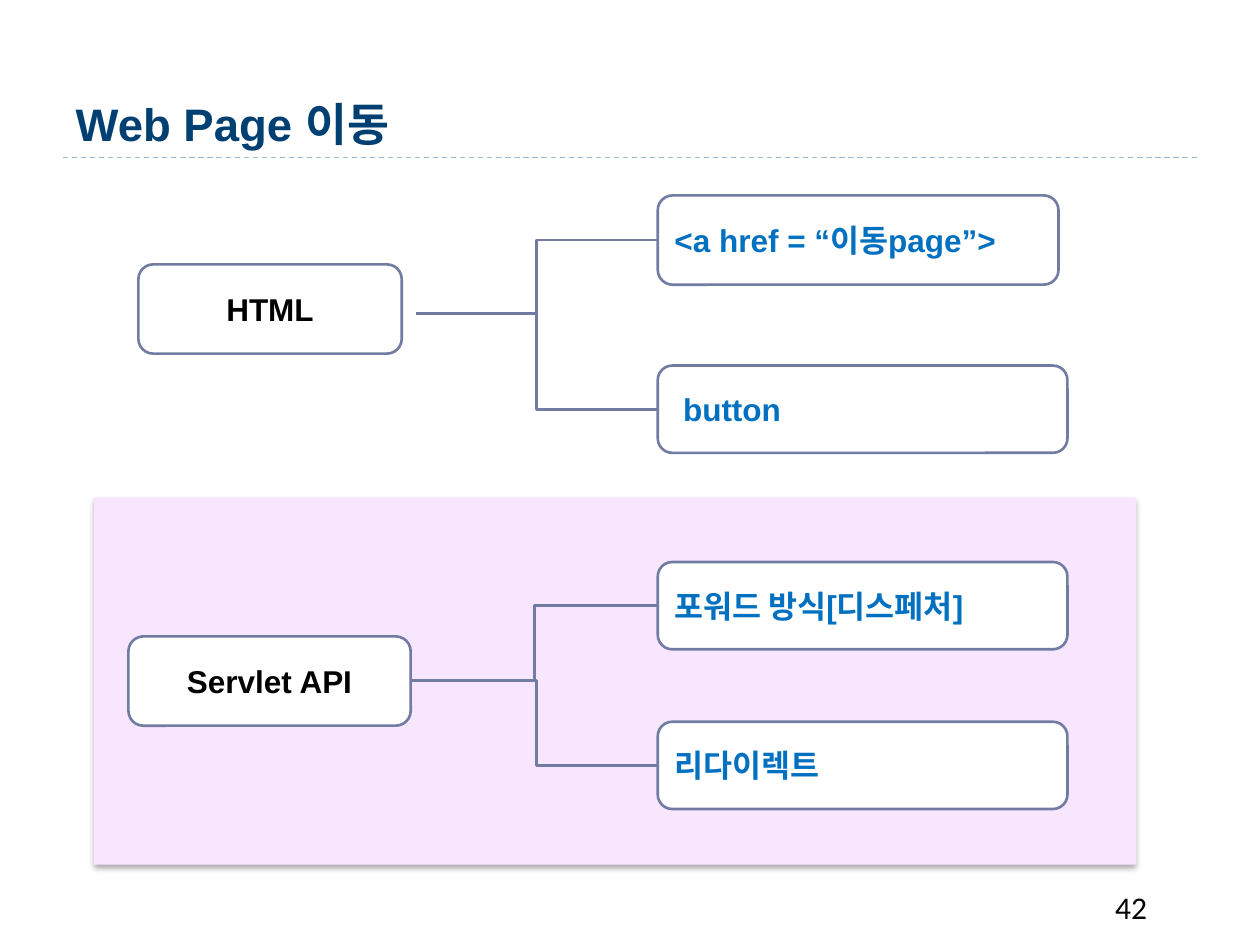
import pptx
import pptx.dml.color
import pptx.enum.dml
import pptx.enum.shapes
import pptx.enum.text
import pptx.oxml
import pptx.oxml.ns
import pptx.util

Cm, Pt = pptx.util.Cm, pptx.util.Pt
RGBColor = pptx.dml.color.RGBColor
SHAPE = pptx.enum.shapes.MSO_SHAPE
CONNECTOR = pptx.enum.shapes.MSO_CONNECTOR
ALIGN = pptx.enum.text.PP_ALIGN
ANCHOR = pptx.enum.text.MSO_ANCHOR

NAVY = RGBColor(0x00, 0x3F, 0x71)
BLUE = RGBColor(0x00, 0x70, 0xC0)
SLATE = RGBColor(0x72, 0x7C, 0xA3)
RULE = RGBColor(0x9F, 0xB8, 0xCD)
LILAC = RGBColor(0xF8, 0xE6, 0xFE)
WHITE = RGBColor(0xFF, 0xFF, 0xFF)
BLACK = RGBColor(0x00, 0x00, 0x00)

PANEL_SHADOW = (
    f'<a:effectLst {pptx.oxml.ns.nsdecls("a")}>'
    '<a:outerShdw blurRad="44450" dist="27940" dir="5400000" rotWithShape="0">'
    '<a:srgbClr val="000000"><a:alpha val="32000"/></a:srgbClr>'
    '</a:outerShdw></a:effectLst>'
)


def write(tf, text, size=18, color=BLACK, font="Arial", bold=True,
          align=ALIGN.LEFT, anchor=ANCHOR.MIDDLE):
    tf.word_wrap = True
    tf.vertical_anchor = anchor
    p = tf.paragraphs[0]
    p.alignment = align
    r = p.add_run()
    r.text = text
    r.font.size = Pt(size)
    r.font.name = font
    r.font.bold = bold
    r.font.color.rgb = color


class Diagram:
    """Holds the current slide and draws its elements; lengths are in cm."""

    def __init__(self, slide, line_color=SLATE, line_width=1.5):
        self.slide = slide
        self.line_color = line_color
        self.line_width = line_width

    def title(self, text, *box):
        sp = self.slide.shapes.title
        sp.left, sp.top, sp.width, sp.height = map(Cm, box)
        write(sp.text_frame, text, size=26, color=NAVY, anchor=ANCHOR.BOTTOM)

    def rule(self, x1, x2, y):
        line = self.connect(x1, y, x2, y, kind=CONNECTOR.STRAIGHT).line
        line.color.rgb = RULE
        line.width = Pt(0.75)
        line.dash_style = pptx.enum.dml.MSO_LINE.DASH

    def panel(self, *box):
        sp = self.slide.shapes.add_shape(SHAPE.RECTANGLE, *map(Cm, box))
        sp.fill.solid()
        sp.fill.fore_color.rgb = LILAC
        sp.line.fill.background()
        sp._element.spPr.append(pptx.oxml.parse_xml(PANEL_SHADOW))

    def box(self, text, *box, **fmt):
        sp = self.slide.shapes.add_shape(SHAPE.ROUNDED_RECTANGLE, *map(Cm, box))
        sp.shadow.inherit = False
        sp.fill.solid()
        sp.fill.fore_color.rgb = WHITE
        sp.line.color.rgb = self.line_color
        sp.line.width = Pt(self.line_width)
        write(sp.text_frame, text, **fmt)

    def connect(self, x1, y1, x2, y2, kind=CONNECTOR.ELBOW):
        cx = self.slide.shapes.add_connector(kind, Cm(x1), Cm(y1), Cm(x2), Cm(y2))
        cx.line.color.rgb = self.line_color
        cx.line.width = Pt(self.line_width)
        cx._element.spPr.append(pptx.oxml.parse_xml(
            f'<a:effectLst {pptx.oxml.ns.nsdecls("a")}/>'))
        return cx

    def label(self, text, *box, **fmt):
        sp = self.slide.shapes.add_textbox(*map(Cm, box))
        write(sp.text_frame, text, anchor=ANCHOR.TOP, **fmt)


def main():
    prs = pptx.Presentation()
    prs.slide_width, prs.slide_height = Cm(25.4), Cm(19.05)
    d = Diagram(prs.slides.add_slide(prs.slide_layouts[5]))

    # Heading, background panel and page number
    d.rule(1.27, 24.13, 3.17)
    d.panel(1.9, 10.03, 21.01, 7.4)
    d.title("Web Page 이동", 1.27, 0.43, 22.86, 2.74)
    d.label("42", 22.23, 17.78, 2.11, 1.02, font="Calibri", bold=False)

    # Sources: text, left, top, width
    for text, x, y, w in [("Servlet API", 2.59, 12.83, 5.69),
                          ("HTML", 2.79, 5.33, 5.31)]:
        d.box(text, x, y, w, 1.8, align=ALIGN.CENTER)

    # Ways to move: text, top, width, height, then the start of the branch
    branch_x = 13.26
    for text, y, w, h, start_x, start_y in [
        ("<a href = “이동page”>", 3.94, 8.08, 1.8, 8.38, 6.32),
        (" button", 7.37, 8.26, 1.76, 8.38, 6.32),
        ("포워드 방식[디스페처]", 11.33, 8.26, 1.76, 8.28, 13.72),
        ("리다이렉트", 14.55, 8.26, 1.76, 8.38, 13.72),
    ]:
        d.box(text, branch_x, y, w, h, color=BLUE)
        d.connect(start_x, start_y, branch_x, y + h / 2)

    prs.save("out.pptx")


if __name__ == "__main__":
    main()
